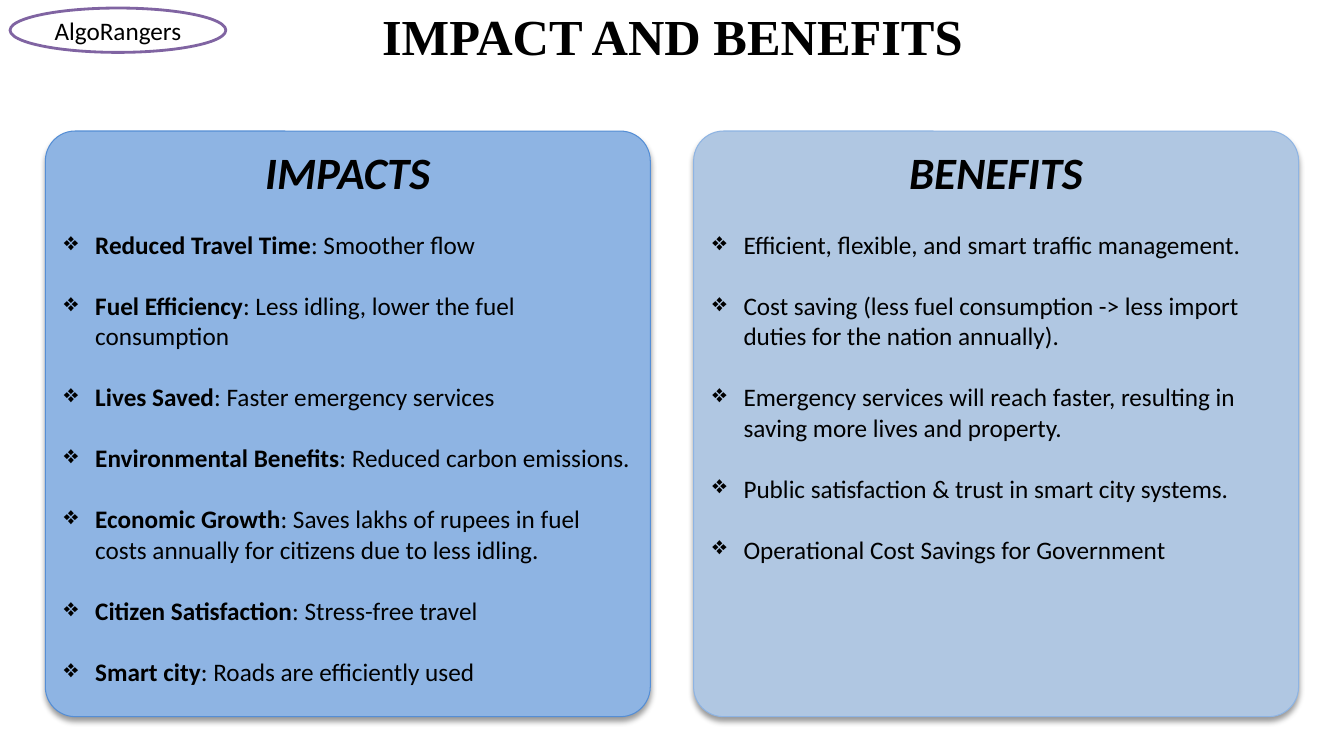
from lxml.etree import SubElement
from pptx import Presentation
from pptx.dml.color import RGBColor
from pptx.enum.shapes import MSO_SHAPE as Shape
from pptx.enum.text import MSO_ANCHOR as Anchor, MSO_AUTO_SIZE as AutoSize, PP_ALIGN as Align
from pptx.oxml.ns import qn
from pptx.util import Inches, Pt

BODY = dict(name="Calibri", size=Pt(18), bold=False, italic=False)
LABEL = BODY | dict(bold=True)
HEADING = BODY | dict(size=Pt(32), bold=True, italic=True)
TITLE = BODY | dict(name="Times New Roman", size=Pt(36), bold=True)

IMPACTS = [
    ("Reduced Travel Time", ": Smoother flow"),
    ("Fuel Efficiency", ": Less idling, lower the fuel consumption"),
    ("Lives Saved", ": Faster emergency services"),
    ("Environmental Benefits", ": Reduced carbon emissions."),
    ("Economic Growth", ": Saves lakhs of rupees in fuel costs annually for citizens due to less idling."),
    ("Citizen Satisfaction", ": Stress-free travel"),
    ("Smart city", ": Roads are efficiently used"),
]
BENEFITS = [
    ("", "Efficient, flexible, and smart traffic management."),
    ("", "Cost saving (less fuel consumption -> less import duties for the nation annually)."),
    ("", "Emergency services will reach faster, resulting in saving more lives and property."),
    ("", "Public satisfaction & trust in smart city systems."),
    ("", "Operational Cost Savings for Government"),
]


def color(value):
    return RGBColor.from_string(value)


def add_text(paragraph, text, style):
    run = paragraph.add_run()
    run.text = text
    for key, value in style.items():
        setattr(run.font, key, value)
    run.font.color.rgb = color("000000")


def add_outline(slide, kind, box, fill, line, weight):
    outline = slide.shapes.add_shape(kind, *map(Inches, box))
    outline.shadow.inherit = False
    outline.fill.solid()
    outline.fill.fore_color.rgb = color(fill)
    outline.line.color.rgb = color(line)
    outline.line.width = Pt(weight)
    outline.text_frame.word_wrap = True
    return outline


def add_soft_shadow(panel):
    effects = panel._element.spPr.find(qn("a:effectLst"))
    shadow = SubElement(effects, qn("a:outerShdw"), blurRad=str(Pt(4)), dist=str(Pt(3)),
                        dir=str(90 * 60000), rotWithShape="0")
    tint = SubElement(shadow, qn("a:srgbClr"), val="000000")
    SubElement(tint, qn("a:alpha"), val="40000")


def add_bullet(paragraph):
    properties = paragraph._p.get_or_add_pPr()
    properties.set("marL", str(Inches(0.31)))
    properties.set("indent", str(Inches(-0.31)))
    SubElement(properties, qn("a:buChar"), char="❖")


def add_title(slide, box, text):
    title = slide.shapes.title
    title.left, title.top, title.width, title.height = map(Inches, box)
    frame = title.text_frame
    frame.auto_size = AutoSize.NONE
    frame.vertical_anchor = Anchor.MIDDLE
    frame.paragraphs[0].alignment = Align.CENTER
    add_text(frame.paragraphs[0], text, TITLE)


def add_panel(slide, box, heading, points, fill, line):
    panel = add_outline(slide, Shape.ROUNDED_RECTANGLE, box, fill, line, 0.75)
    panel.adjustments[0] = 0.051
    add_soft_shadow(panel)
    frame = panel.text_frame
    frame.vertical_anchor = Anchor.TOP
    frame.paragraphs[0].alignment = Align.CENTER
    add_text(frame.paragraphs[0], heading, HEADING)
    for label, detail in points:
        point = frame.add_paragraph()
        point.alignment = Align.LEFT
        point.space_before = Pt(22)
        add_bullet(point)
        if label:
            add_text(point, label, LABEL)
        add_text(point, detail, BODY)


def add_team_badge(slide, box, team):
    badge = add_outline(slide, Shape.OVAL, box, "FFFFFF", "8064A2", 2)
    badge.text_frame.vertical_anchor = Anchor.MIDDLE
    badge.text_frame.paragraphs[0].alignment = Align.CENTER
    add_text(badge.text_frame.paragraphs[0], team, BODY)


def main():
    deck = Presentation()
    deck.slide_width, deck.slide_height = Inches(13.33), Inches(7.5)
    slide = deck.slides.add_slide(deck.slide_layouts[5])

    # Title across the top
    add_title(slide, (0.67, -0.27, 12, 1.25), "IMPACT AND BENEFITS")

    # Two equal panels side by side
    panels = [("IMPACTS", IMPACTS, "8EB4E3", "558ED5"),
              ("BENEFITS", BENEFITS, "B0C7E2", "8EB4E3")]
    width, gap = 6, 0.43
    for column, panel in enumerate(panels):
        add_panel(slide, (0.45 + column * (width + gap), 1.3, width, 5.81), *panel)

    # Team name in the corner
    add_team_badge(slide, (0.1, 0.08, 2.14, 0.44), "AlgoRangers")

    deck.save("out.pptx")


if __name__ == "__main__":
    main()
